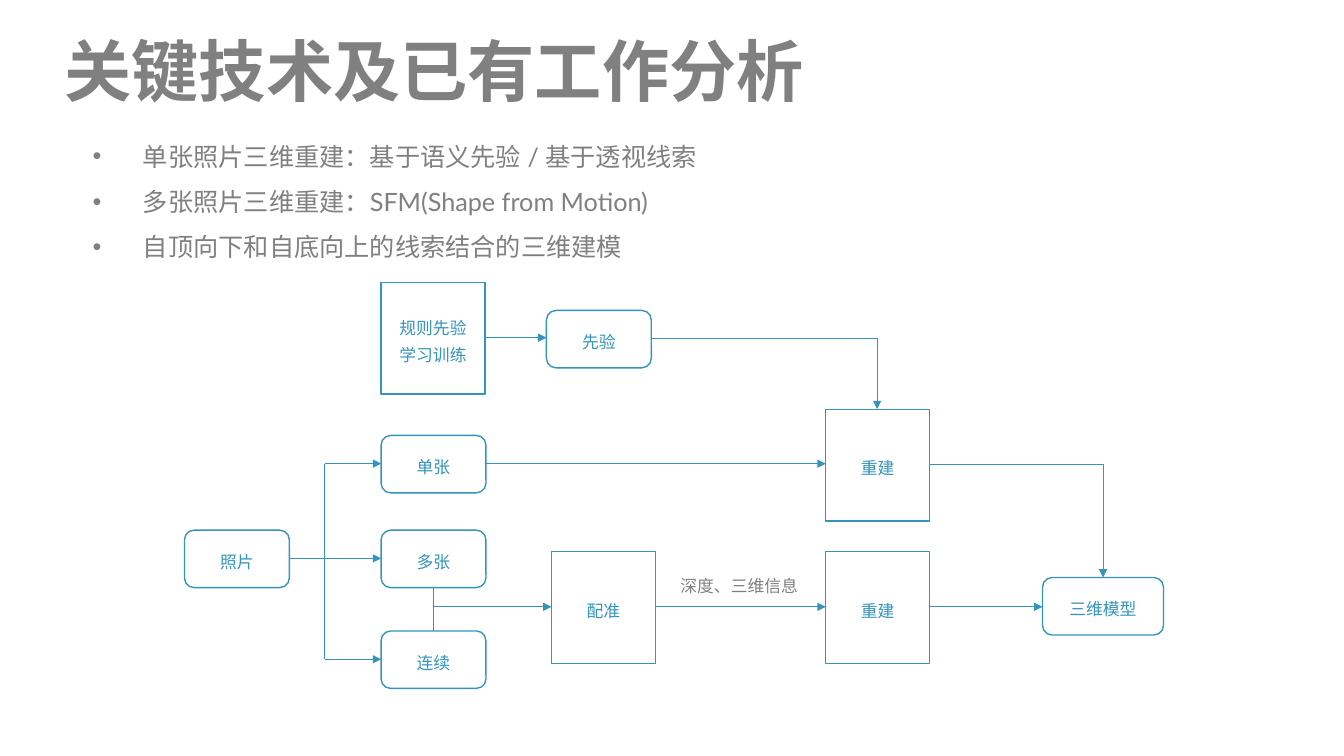
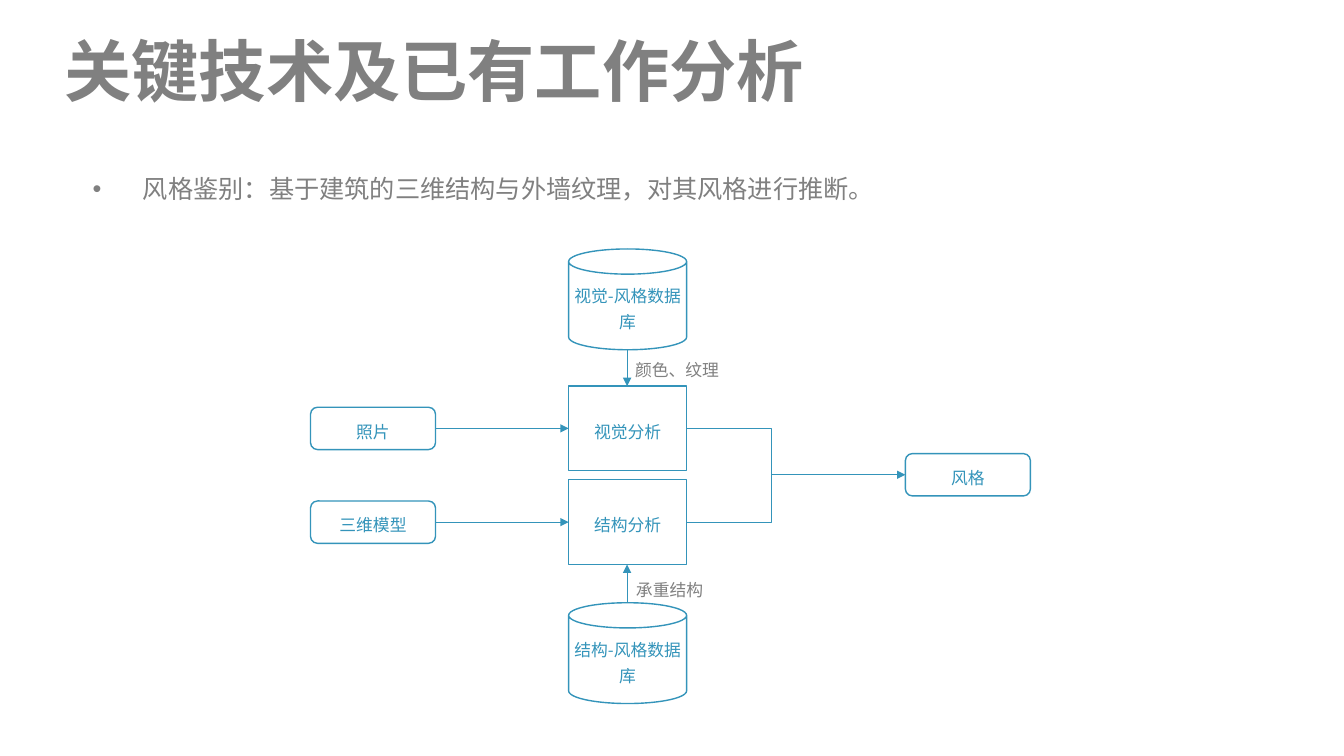
from dataclasses import dataclass

import pptx
import pptx.dml.color
import pptx.enum.lang
import pptx.enum.shapes
import pptx.enum.text
import pptx.oxml
import pptx.oxml.ns
import pptx.presentation
import pptx.slide
import pptx.text.text
import pptx.util

PX = 9144  # EMU per px, 100 px to the inch

Shape = pptx.enum.shapes.MSO_SHAPE
Color = pptx.dml.color.RGBColor
qn = pptx.oxml.ns.qn


@dataclass(frozen=True)
class Theme:
    accent: Color = Color(0x34, 0x94, 0xBA)
    grey: Color = Color(0x80, 0x80, 0x80)
    white: Color = Color(0xFF, 0xFF, 0xFF)
    text_font: str = "Lato"
    node_font: str = "Noto Sans CJK SC"
    title_size: int = 48
    bullet_size: int = 18
    node_size: int = 12
    bullet_spacing: float = 1.5
    node_spacing: float = 1.3
    border: float = 1
    arrow: float = 0.5


THEME = Theme()
TITLE = "关键技术及已有工作分析"


@dataclass(frozen=True)
class Node:
    """A box of the flow chart, in px."""
    text: str
    left: int
    top: int
    size: tuple[int, int]
    outline: Shape = Shape.ROUNDED_RECTANGLE

    @property
    def right(self) -> int:
        return self.left + self.size[0]

    @property
    def bottom(self) -> int:
        return self.top + self.size[1]

    @property
    def center(self) -> int:
        return self.left + self.size[0] // 2

    @property
    def middle(self) -> int:
        return self.top + self.size[1] // 2


@dataclass(frozen=True)
class Flow:
    """A line between two points; an elbow runs sideways first."""
    start: tuple[int, int]
    end: tuple[int, int]
    head: bool = True
    elbow: bool = False


@dataclass(frozen=True)
class Label:
    text: str
    left: int
    top: int
    width: int


def emu(*lengths: int) -> list[pptx.util.Emu]:
    return [pptx.util.Emu(length * PX) for length in lengths]


# Text
def style(paragraph: pptx.text.text._Paragraph, size: int, color: Color,
          font: str = THEME.text_font, spacing: float = 1.0,
          bold: bool = False) -> None:
    paragraph.line_spacing = spacing
    paragraph.font.size = pptx.util.Pt(size)
    paragraph.font.bold = bold
    paragraph.font.color.rgb = color
    paragraph.font.name = font
    paragraph.font.language_id = pptx.enum.lang.MSO_LANGUAGE_ID.SIMPLIFIED_CHINESE
    defaults = paragraph._p.pPr.find(qn("a:defRPr"))
    east_asian = pptx.oxml.parse_xml(
        f'<a:ea {pptx.oxml.ns.nsdecls("a")} typeface="{THEME.text_font}"/>')
    defaults.find(qn("a:latin")).addnext(east_asian)


def add_bullet(paragraph: pptx.text.text._Paragraph) -> None:
    properties = paragraph._p.get_or_add_pPr()
    indent = 50 * PX
    properties.set("marL", str(indent))
    properties.set("indent", str(-indent))
    namespace = pptx.oxml.ns.nsdecls("a")
    defaults = properties.find(qn("a:defRPr"))
    for xml in (f'<a:buFont {namespace} typeface="Arial"/>',
                f'<a:buChar {namespace} char="•"/>'):
        defaults.addprevious(pptx.oxml.parse_xml(xml))


def add_title_slide(deck: pptx.presentation.Presentation) -> pptx.slide.Slide:
    slide = deck.slides.add_slide(deck.slide_layouts[5])
    title = slide.shapes.title
    title.left, title.top, title.width, title.height = emu(54, 24, 778, 82)
    frame = title.text_frame
    frame.text = TITLE
    frame.auto_size = pptx.enum.text.MSO_AUTO_SIZE.NONE
    frame.vertical_anchor = pptx.enum.text.MSO_ANCHOR.TOP
    heading = frame.paragraphs[0]
    heading.alignment = pptx.enum.text.PP_ALIGN.LEFT
    style(heading, THEME.title_size, THEME.grey, bold=True)
    return slide


def add_bullets(slide: pptx.slide.Slide, top: int, points: list[str]) -> None:
    row, padding = 45, 10
    frame = slide.shapes.add_textbox(
        *emu(82, top, 1220, row * len(points) + padding)).text_frame
    frame.word_wrap = True
    frame.text = "\n".join(points)
    for paragraph in frame.paragraphs:
        style(paragraph, THEME.bullet_size, THEME.grey,
              spacing=THEME.bullet_spacing)
        add_bullet(paragraph)


def add_label(slide: pptx.slide.Slide, label: Label) -> None:
    frame = slide.shapes.add_textbox(
        *emu(label.left, label.top, label.width, 31)).text_frame
    frame.word_wrap = True
    frame.text = label.text
    style(frame.paragraphs[0], THEME.node_size, THEME.grey,
          spacing=THEME.node_spacing)


# Flow chart
def add_node(slide: pptx.slide.Slide, node: Node) -> None:
    box = slide.shapes.add_shape(node.outline, *emu(node.left, node.top, *node.size))
    box.shadow.inherit = False
    box.fill.solid()
    box.fill.fore_color.rgb = THEME.white
    box.line.color.rgb = THEME.accent
    box.line.width = pptx.util.Pt(THEME.border)
    frame = box.text_frame
    frame.word_wrap = True
    frame.margin_left, frame.margin_right = emu(5, 5)
    frame.vertical_anchor = pptx.enum.text.MSO_ANCHOR.MIDDLE
    frame.text = node.text
    for paragraph in frame.paragraphs:
        paragraph.alignment = pptx.enum.text.PP_ALIGN.CENTER
        style(paragraph, THEME.node_size, THEME.accent, THEME.node_font,
              THEME.node_spacing)


def add_flow(slide: pptx.slide.Slide, flow: Flow) -> None:
    kinds = pptx.enum.shapes.MSO_CONNECTOR
    kind = kinds.ELBOW if flow.elbow else kinds.STRAIGHT
    connector = slide.shapes.add_connector(kind, *emu(*flow.start, *flow.end))
    connector.line.color.rgb = THEME.accent
    connector.line.width = pptx.util.Pt(THEME.arrow)
    properties = connector._element.spPr
    namespace = pptx.oxml.ns.nsdecls("a")
    if flow.elbow:
        properties.find(qn("a:prstGeom")).set("prst", "bentConnector2")
    if flow.head:
        properties.find(qn("a:ln")).append(
            pptx.oxml.parse_xml(f'<a:tailEnd {namespace} type="triangle"/>'))
    properties.append(pptx.oxml.parse_xml(f"<a:effectLst {namespace}/>"))


def add_chart_parts(slide: pptx.slide.Slide, nodes: list[Node],
                    flows: list[Flow], labels: list[Label]) -> None:
    for node in nodes:
        add_node(slide, node)
    for flow in flows:
        add_flow(slide, flow)
    for label in labels:
        add_label(slide, label)


def across(source: Node, target: Node) -> Flow:
    return Flow((source.right, source.middle), (target.left, source.middle))


# Slide 1: reconstruction
def build_reconstruction(deck: pptx.presentation.Presentation) -> None:
    slide = add_title_slide(deck)
    add_bullets(slide, 120, [
        "单张照片三维重建：基于语义先验 / 基于透视线索",
        "多张照片三维重建：SFM(Shape from Motion)",
        "自顶向下和自底向上的线索结合的三维建模",
    ])
    data, step = (104, 57), (103, 111)
    training = Node("规则先验\n学习训练", 378, 280, step, Shape.RECTANGLE)
    prior = Node("先验", 542, 308, data)
    photo = Node("照片", 183, 526, data)
    single = Node("单张", 378, 432, data)
    several = Node("多张", 378, 526, data)
    sequence = Node("连续", 378, 626, data)
    matching = Node("配准", 547, 547, step, Shape.RECTANGLE)
    prior_rebuild = Node("重建", 819, 406, step, Shape.RECTANGLE)
    depth_rebuild = Node("重建", 819, 547, step, Shape.RECTANGLE)
    model = Node("三维模型", 1034, 573, (120, 57))

    branch_x = 322
    flows = [
        across(training, prior),
        across(photo, several),
        across(single, prior_rebuild),
        across(matching, depth_rebuild),
        across(depth_rebuild, model),
        Flow((prior.right, prior.middle),
             (prior_rebuild.center, prior_rebuild.top), elbow=True),
        Flow((prior_rebuild.right, prior_rebuild.middle),
             (model.center, model.top), elbow=True),
        Flow((branch_x, single.middle), (branch_x, sequence.middle), head=False),
        *(Flow((branch_x, kind.middle), (kind.left, kind.middle))
          for kind in (single, sequence)),
        Flow((several.center, several.bottom),
             (sequence.center, sequence.top), head=False),
        Flow((several.center, matching.middle), (matching.left, matching.middle)),
    ]
    add_chart_parts(
        slide,
        [training, prior, photo, single, several, sequence, matching,
         prior_rebuild, depth_rebuild, model],
        flows, [Label("深度、三维信息", 665, 560, 168)])


# Slide 2: style recognition
def build_style(deck: pptx.presentation.Presentation) -> None:
    slide = add_title_slide(deck)
    add_bullets(slide, 152, ["风格鉴别：基于建筑的三维结构与外墙纹理，对其风格进行推断。"])
    data, step, store = (124, 42), (117, 84), (117, 100)
    photo = Node("照片", 308, 404, data)
    model = Node("三维模型", 308, 497, data)
    visual = Node("视觉分析", 564, 383, step, Shape.RECTANGLE)
    structure = Node("结构分析", 564, 476, step, Shape.RECTANGLE)
    result = Node("风格", 898, 450, data)
    visual_store = Node("视觉-风格数据库", 564, 247, store, Shape.CAN)
    structure_store = Node("结构-风格数据库", 564, 598, store, Shape.CAN)

    merge = (765, result.middle)
    flows = [
        across(photo, visual),
        across(model, structure),
        Flow((visual_store.center, visual_store.bottom),
             (visual.center, visual.top)),
        Flow((structure_store.center, structure_store.top),
             (structure.center, structure.bottom)),
        *(Flow((analysis.right, analysis.middle), merge, head=False, elbow=True)
          for analysis in (visual, structure)),
        Flow(merge, (result.left, result.middle)),
    ]
    add_chart_parts(
        slide,
        [photo, model, visual, structure, result, visual_store, structure_store],
        flows,
        [Label("颜色、纹理", 620, 346, 114), Label("承重结构", 621, 564, 96)])


def main() -> None:
    deck = pptx.Presentation()
    deck.slide_width, deck.slide_height = emu(1333, 750)
    build_reconstruction(deck)
    build_style(deck)
    deck.save("out.pptx")


if __name__ == "__main__":
    main()
